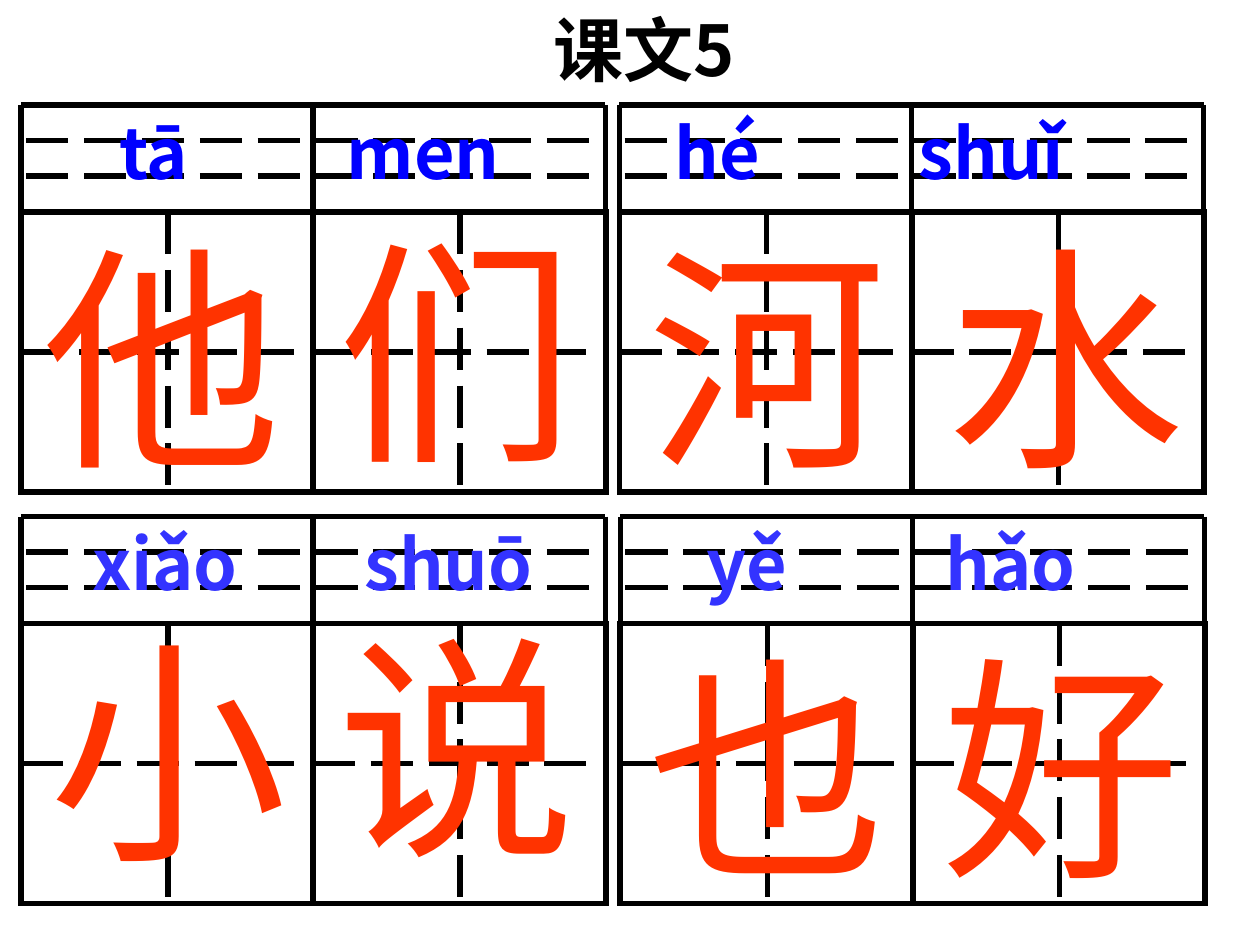
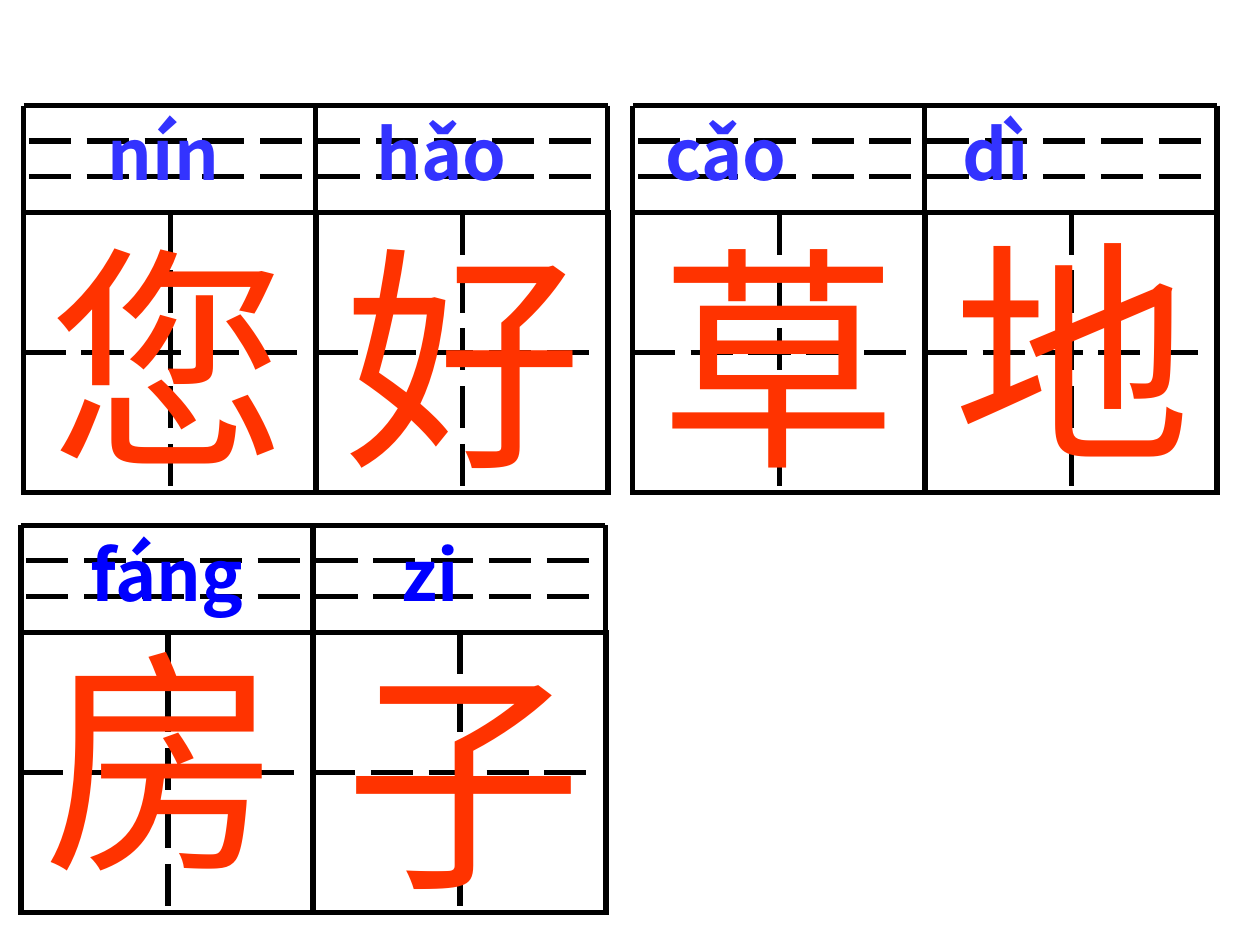
from dataclasses import dataclass
from typing import NamedTuple

from lxml import etree
from pptx import Presentation
from pptx.dml.color import RGBColor
from pptx.enum.dml import MSO_LINE
from pptx.enum.shapes import MSO_CONNECTOR, MSO_SHAPE
from pptx.enum.text import MSO_ANCHOR, MSO_AUTO_SIZE, PP_ALIGN
from pptx.oxml.ns import qn
from pptx.util import Pt

DASH = MSO_LINE.LONG_DASH
LINE = MSO_CONNECTOR.STRAIGHT
RECT = MSO_SHAPE.RECTANGLE
TOP = MSO_ANCHOR.TOP
FIXED = MSO_AUTO_SIZE.NONE
LEFT = PP_ALIGN.LEFT

BLACK = RGBColor(0x00, 0x00, 0x00)
RED = RGBColor(0xFF, 0x33, 0x00)
BLUE = RGBColor(0x00, 0x00, 0xFF)
SOFT = RGBColor(0x33, 0x33, 0xFF)

ARIAL = "Arial"
NOTO = "Noto Sans CJK SC"

SMALL = 40
LARGE = 136
LEAD = 1.2
INSET = 7.2

CELL = 166.9
BOX = 167.4
TALL = 160
BAND = 61.2
STAVE = 20.3
SPAN = 2 * CELL


class Word(NamedTuple):
    sound: str
    start: float
    sign: str
    left: float
    top: float
    face: str = ARIAL


@dataclass
class Row:
    top: float
    grids: list[float]
    left: float
    head: float
    wide: float
    color: RGBColor
    words: list[Word]


@dataclass
class Page:
    title: str
    rows: list[Row]


PAGES = [
    Page("课文5", [
        Row(295.2, [12, 354.4], 0, 293.8, 717, SOFT, [
            Word("xiǎo", 52.8, "小", 21.2, 342, NOTO),
            Word("shuō", 208.5, "说", 185.8, 339.8, NOTO),
            Word("yě", 404, "也", 363.6, 351.4),
            Word("hǎo", 540.5, "好", 531.4, 351.4),
        ]),
        Row(60, [12, 354], 5.8, 59, 690, BLUE, [
            Word("tā", 68.2, "他", 18, 117.4),
            Word("men", 198.4, "们", 185.8, 113.8),
            Word("hé", 385.5, "河", 363.6, 117.4),
            Word("shuǐ", 525.2, "水", 533.8, 117.4),
        ]),
    ]),
    Page("", [
        Row(60.3, [13.5, 361.6], 8.6, 59.8, 711, SOFT, [
            Word("nín", 61.8, "您", 21, 117.4),
            Word("hǎo", 215.4, "好", 189.8, 117.4),
            Word("cǎo", 380.3, "草", 369.8, 117.4),
            Word("dì", 550, "地", 537.8, 113.8),
        ]),
        Row(300.2, [12], 0, 300.2, 438, BLUE, [
            Word("fáng", 52, "房", 18, 347.8),
            Word("zi", 229.6, "子", 189.8, 357.8),
        ]),
    ]),
]


def rule(slide, x: float, y: float, right: float, low: float, dash: bool = False) -> None:
    line = slide.shapes.add_connector(LINE, Pt(x), Pt(y), Pt(right), Pt(low))
    line.line.color.rgb = BLACK
    line.line.width = Pt(3)
    if dash:
        line.line.dash_style = DASH
    props = line._element.find(qn("p:spPr"))
    etree.SubElement(props, qn("a:effectLst"))


def cell(slide, x: float, y: float) -> None:
    box = slide.shapes.add_shape(RECT, Pt(x), Pt(y), Pt(BOX), Pt(TALL))
    box.shadow.inherit = False
    box.fill.background()
    box.line.color.rgb = BLACK
    box.line.width = Pt(3)
    edge = box._element.find(qn("p:spPr")).find(qn("a:ln"))
    etree.SubElement(edge, qn("a:miter")).set("lim", "800000")
    rule(slide, x + 84, y, x + 84, y + TALL, True)
    rule(slide, x, y + TALL / 2, x + 164, y + TALL / 2, True)


def grid(slide, x: float, y: float) -> None:
    for col in range(2):
        cell(slide, x + col * CELL, y + BAND)
    rule(slide, x, y, x + SPAN, y)
    for step in (1, 2):
        level = y + step * STAVE
        rule(slide, x + 3, level, x + SPAN, level, True)
    for col in range(3):
        edge = x + col * CELL
        rule(slide, edge, y, edge, y + 220.6)


def place(shape, x: float, y: float, wide: float, size: float) -> None:
    shape.left, shape.top = Pt(x), Pt(y)
    shape.width, shape.height = Pt(wide), Pt(size * LEAD + INSET)
    frame = shape.text_frame
    frame.word_wrap = True
    frame.auto_size = FIXED
    frame.vertical_anchor = TOP


def write(para, texts: list[str], size: float, color: RGBColor, face: str, bold: bool) -> None:
    para.alignment = LEFT
    para.space_before = Pt(0)
    para.line_spacing = Pt(round(size * LEAD, 1))
    for text in texts:
        run = para.add_run()
        run.text = text
        run.font.size = Pt(size)
        run.font.bold = bold
        run.font.color.rgb = color
        run.font.name = face
        east = etree.SubElement(run._r.get_or_add_rPr(), qn("a:ea"))
        east.set("typeface", NOTO)


def label(slide, x: float, y: float, wide: float, size: float):
    box = slide.shapes.add_textbox(Pt(x), Pt(y), Pt(wide), Pt(size))
    place(box, x, y, wide, size)
    return box.text_frame.paragraphs[0]


def sounds(slide, row: Row) -> None:
    para = label(slide, row.left, row.head, row.wide, SMALL)
    tabs = etree.SubElement(para._p.get_or_add_pPr(), qn("a:tabLst"))
    for word in row.words:
        stop = etree.SubElement(tabs, qn("a:tab"))
        stop.set("pos", str(int(Pt(word.start - row.left - INSET))))
        stop.set("algn", "l")
    texts = ["\t" + word.sound for word in row.words]
    write(para, texts, SMALL, row.color, NOTO, True)


def draw(deck, page: Page) -> None:
    slide = deck.slides.add_slide(deck.slide_layouts[5 if page.title else 6])
    if page.title:
        title = slide.shapes.title
        place(title, 308.9, 0, 181.4, SMALL)
        write(title.text_frame.paragraphs[0], [page.title], SMALL, BLACK, NOTO, True)
    for row in page.rows:
        for x in row.grids:
            grid(slide, x, row.top)
        for word in row.words:
            para = label(slide, word.left, word.top, 164.4, LARGE)
            write(para, [word.sign], LARGE, RED, word.face, False)
        sounds(slide, row)


def main() -> None:
    deck = Presentation()
    deck.slide_width, deck.slide_height = Pt(720), Pt(540)
    for page in PAGES:
        draw(deck, page)
    deck.save("out.pptx")


if __name__ == "__main__":
    main()
